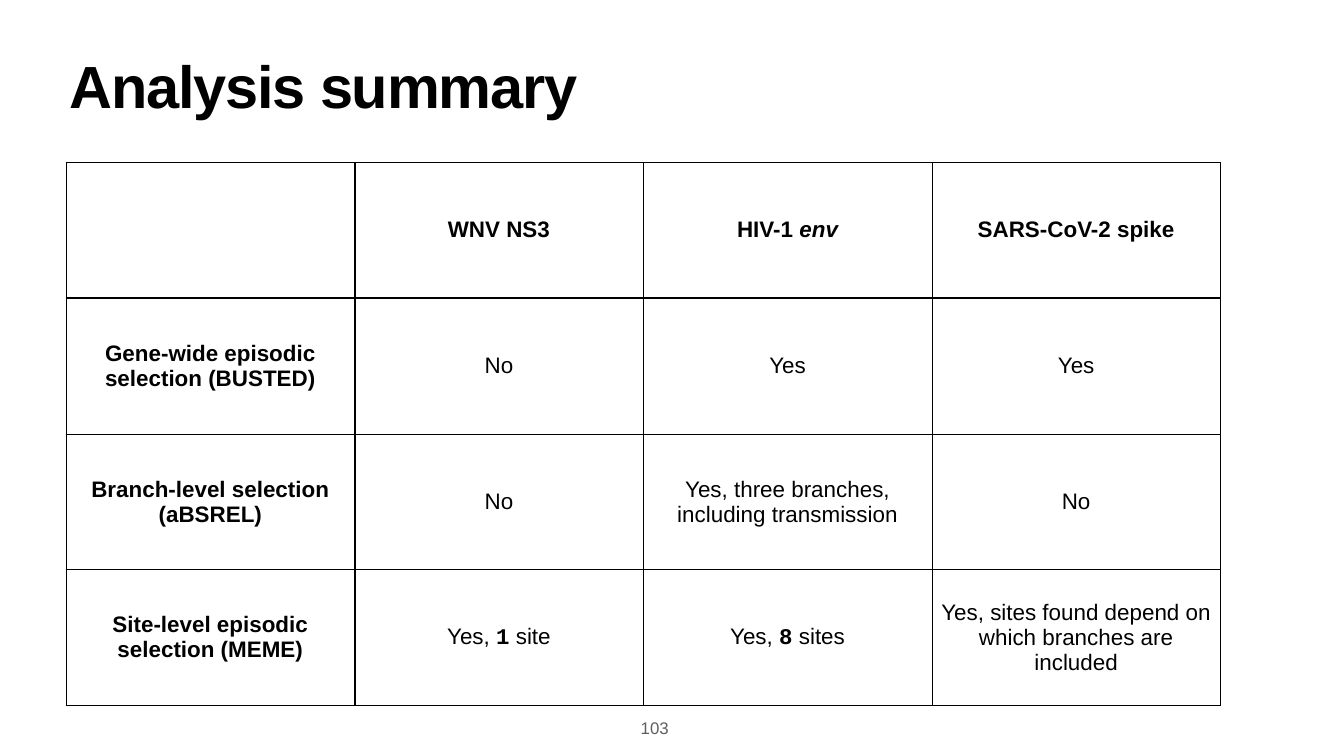
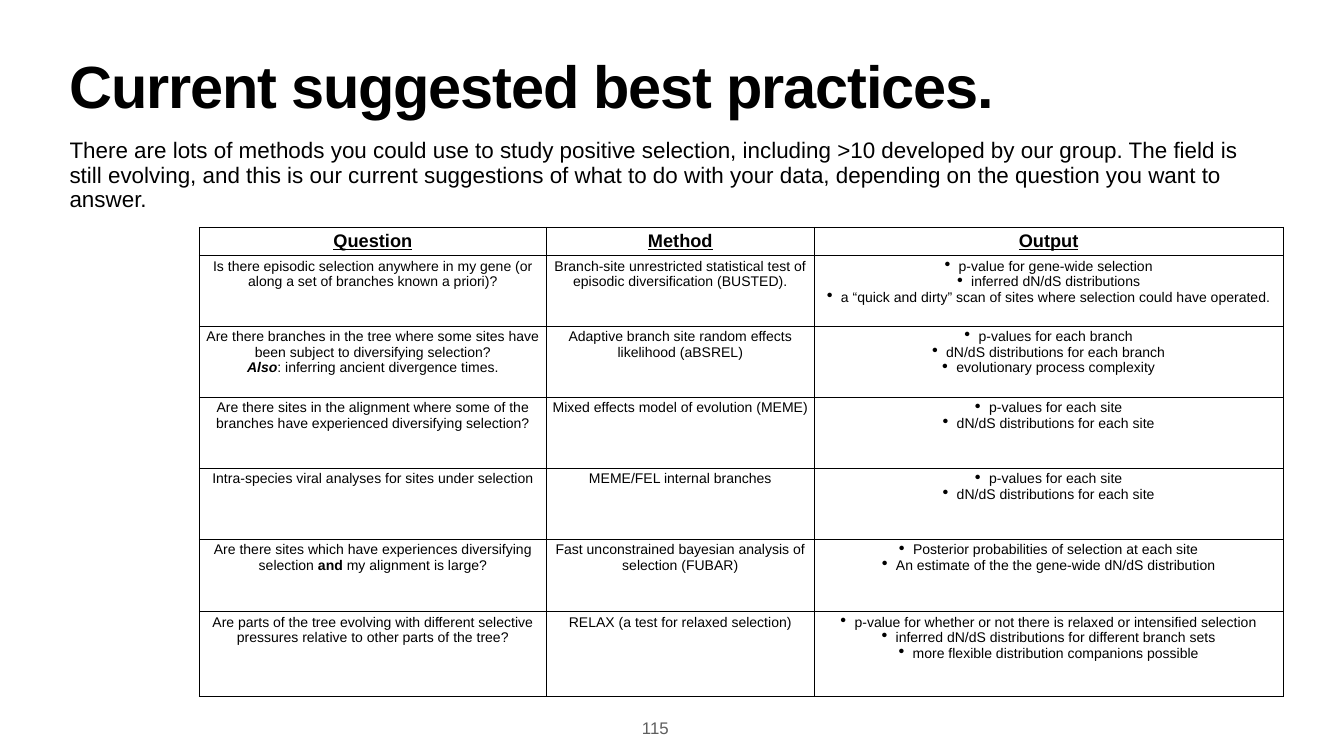
import pptx
import pptx.util
import pptx.dml.color
import pptx.enum.text
import pptx.oxml.ns
from lxml import etree

PX = 9144  # 100 px to the inch
SIZE = (2667, 1500)
INK, GREY = "000000", "5E5E5E"
SANS, MONO = "Arial", "Courier New"
PAD = 6
HANG = 28
TITLE = (132, 118, 2403, 157)
BODY = (132, 271, 2403, 903)
NUMBER = (1265, 1421, 68, 50)
THIN, THICK = 1, 3

Align = pptx.enum.text.PP_ALIGN
Anchor = pptx.enum.text.MSO_ANCHOR
Fit = pptx.enum.text.MSO_AUTO_SIZE

# Content: a cell is a list of lines; a line is a string or (text, style) runs
SITES = ["p-values for each site", "dN/dS distributions for each site"]
SLIDES = [
    {
        "title": "Analysis summary",
        "number": "103",
        "place": (131, 322),
        "cols": [572.75] * 4,
        "rows": [269.5] * 4,
        "sizes": (32, 32),
        "labels": True,
        "cells": [
            [[], ["WNV NS3"], [[("HIV-1 ", ""), ("env", "i")]],
             ["SARS-CoV-2 spike"]],
            [["Gene-wide episodic selection (BUSTED)"], ["No"], ["Yes"],
             ["Yes"]],
            [["Branch-level selection (aBSREL)"], ["No"],
             ["Yes, three branches, including transmission"], ["No"]],
            [["Site-level episodic selection (MEME)"],
             [[("Yes, ", ""), ("1", "bm"), (" site", "")]],
             [[("Yes, ", ""), ("8", "bm"), (" sites", "")]],
             ["Yes, sites found depend on which branches are included"]],
        ],
    },
    {
        "title": "Current suggested best practices.",
        "body": "There are lots of methods you could use to study positive "
                "selection, including >10 developed by our group. The field "
                "is still evolving, and this is our current suggestions of "
                "what to do with your data, depending on the question you "
                "want to answer.",
        "number": "115",
        "place": (395, 451),
        "cols": [690, 530, 932],
        "rows": [56, 140, 141, 141, 141, 143, 169],
        "sizes": (26, 20),
        "labels": False,
        "cells": [
            [["Question"], ["Method"], ["Output"]],
            [["Is there episodic selection anywhere in my gene (or along a "
              "set of branches known a priori)?"],
             ["Branch-site unrestricted statistical test of episodic "
              "diversification (BUSTED)."],
             ["p-value for gene-wide selection",
              "inferred dN/dS distributions",
              "a “quick and dirty” scan of sites where selection could have "
              "operated."]],
            [["Are there branches in the tree where some sites have been "
              "subject to diversifying selection?",
              [("Also", "bi"), (": inferring ancient divergence times.", "")]],
             ["Adaptive branch site random effects likelihood (aBSREL)"],
             ["p-values for each branch",
              "dN/dS distributions for each branch",
              "evolutionary process complexity"]],
            [["Are there sites in the alignment where some of the branches "
              "have experienced diversifying selection?"],
             ["Mixed effects model of evolution (MEME)"], SITES],
            [["Intra-species viral analyses for sites under selection"],
             ["MEME/FEL internal branches"], SITES],
            [[[("Are there sites which have experiences diversifying "
                "selection ", ""), ("and", "b"),
               (" my alignment is large?", "")]],
             ["Fast unconstrained bayesian analysis of selection (FUBAR)"],
             ["Posterior probabilities of selection at each site",
              "An estimate of the the gene-wide dN/dS distribution"]],
            [["Are parts of the tree evolving with different selective "
              "pressures relative to other parts of the tree?"],
             ["RELAX (a test for relaxed selection)"],
             ["p-value for whether or not there is relaxed or intensified "
              "selection",
              "inferred dN/dS distributions for different branch sets",
              "more flexible distribution companions possible"]],
        ],
    },
]


# Helpers
def px(value):
    return pptx.util.Emu(round(value * PX))


def color(code):
    return pptx.dml.color.RGBColor.from_string(code)


def add(parent, tag, **attrs):
    return etree.SubElement(parent, pptx.oxml.ns.qn(tag), attrs)


def style(font, size, code=INK, bold=False):
    font.name, font.size, font.bold = SANS, pptx.util.Pt(size), bold
    font.color.rgb = color(code)


def move(shape, box):
    shape.left, shape.top, shape.width, shape.height = map(px, box)


def pad(part):
    part.margin_left = part.margin_right = px(PAD)
    part.margin_top = part.margin_bottom = px(PAD)


def write(shape, box, text, size, code=INK, bold=False):
    """Place a one-paragraph text shape and return its paragraph."""
    move(shape, box)
    frame = shape.text_frame
    pad(frame)
    frame.word_wrap, frame.auto_size = True, Fit.NONE
    frame.vertical_anchor = Anchor.TOP
    para = frame.paragraphs[0]
    para.text, para.alignment = text, Align.LEFT
    para.space_before = pptx.util.Pt(0)
    return para


# Table parts
def bullet(para):
    props = para._p.get_or_add_pPr()
    props.set("marL", str(px(HANG)))
    props.set("indent", str(-px(HANG)))
    add(props, "a:buSzPct", val="123000")
    add(props, "a:buChar", char="•")


def border(cell, row, col, labels):
    thick = {
        "L": labels and col == 1,
        "R": labels and col == 0,
        "T": row == 1 and not (labels and col == 0),
        "B": row == 0,
    }
    props = cell._tc.get_or_add_tcPr()
    for side, heavy in thick.items():
        width = pptx.util.Pt(THICK if heavy else THIN)
        line = add(props, "a:ln" + side, w=str(width))
        add(add(line, "a:solidFill"), "a:srgbClr", val=INK)


def fill(cell, lines, size, bold, under, dots):
    frame = cell.text_frame
    for i, line in enumerate(lines):
        para = frame.add_paragraph() if i else frame.paragraphs[0]
        para.alignment = Align.CENTER
        if dots:
            bullet(para)
        style(para.font, size, bold=bold)
        para.font.underline = under
        for text, marks in [(line, "")] if isinstance(line, str) else line:
            run = para.add_run()
            run.text = text
            if "b" in marks:
                run.font.bold = True
            if "i" in marks:
                run.font.italic = True
            if "m" in marks:
                run.font.name = MONO


def grid(slide, data):
    cols, rows, labels = data["cols"], data["rows"], data["labels"]
    box = (*data["place"], sum(cols), sum(rows))
    table = slide.shapes.add_table(len(rows), len(cols), *map(px, box)).table
    table.first_row = table.horz_banding = False
    for col, width in zip(table.columns, cols):
        col.width = px(width)
    for row, height in zip(table.rows, rows):
        row.height = px(height)
    for r, line in enumerate(data["cells"]):
        for c, lines in enumerate(line):
            cell = table.cell(r, c)
            head = r == 0
            pad(cell)
            middle = head or labels
            cell.vertical_anchor = Anchor.MIDDLE if middle else Anchor.TOP
            border(cell, r, c, labels)
            cell.fill.background()
            fill(cell, lines, data["sizes"][not head],
                 bold=head or (labels and c == 0),
                 under=head and not labels,
                 dots=not (head or labels) and c == len(cols) - 1)


# Slides
def build(deck, data):
    body = data.get("body")
    slide = deck.slides.add_slide(deck.slide_layouts[1 if body else 5])

    para = write(slide.shapes.title, TITLE, data["title"], 85)
    para.line_spacing = 0.8
    style(para.font, 85, bold=True)
    para.runs[0].font._element.set("spc", "-170")

    if body:
        para = write(slide.placeholders[1], BODY, body, 32)
        para.line_spacing = 0.9
        props = para._p.get_or_add_pPr()
        props.set("marL", "0")
        props.set("indent", "0")
        add(props, "a:buNone")
        style(para.font, 32)

    grid(slide, data)

    note = slide.shapes.add_textbox(*map(px, NUMBER))
    para = write(note, NUMBER, data["number"], 24)
    para.alignment = Align.RIGHT
    style(para.font, 24, GREY)
    frame = note.text_frame
    frame.word_wrap, frame.auto_size = False, Fit.SHAPE_TO_FIT_TEXT
    frame.vertical_anchor = Anchor.BOTTOM


def main():
    deck = pptx.Presentation()
    deck.slide_width, deck.slide_height = map(px, SIZE)
    for data in SLIDES:
        build(deck, data)
    deck.save("out.pptx")


if __name__ == "__main__":
    main()
